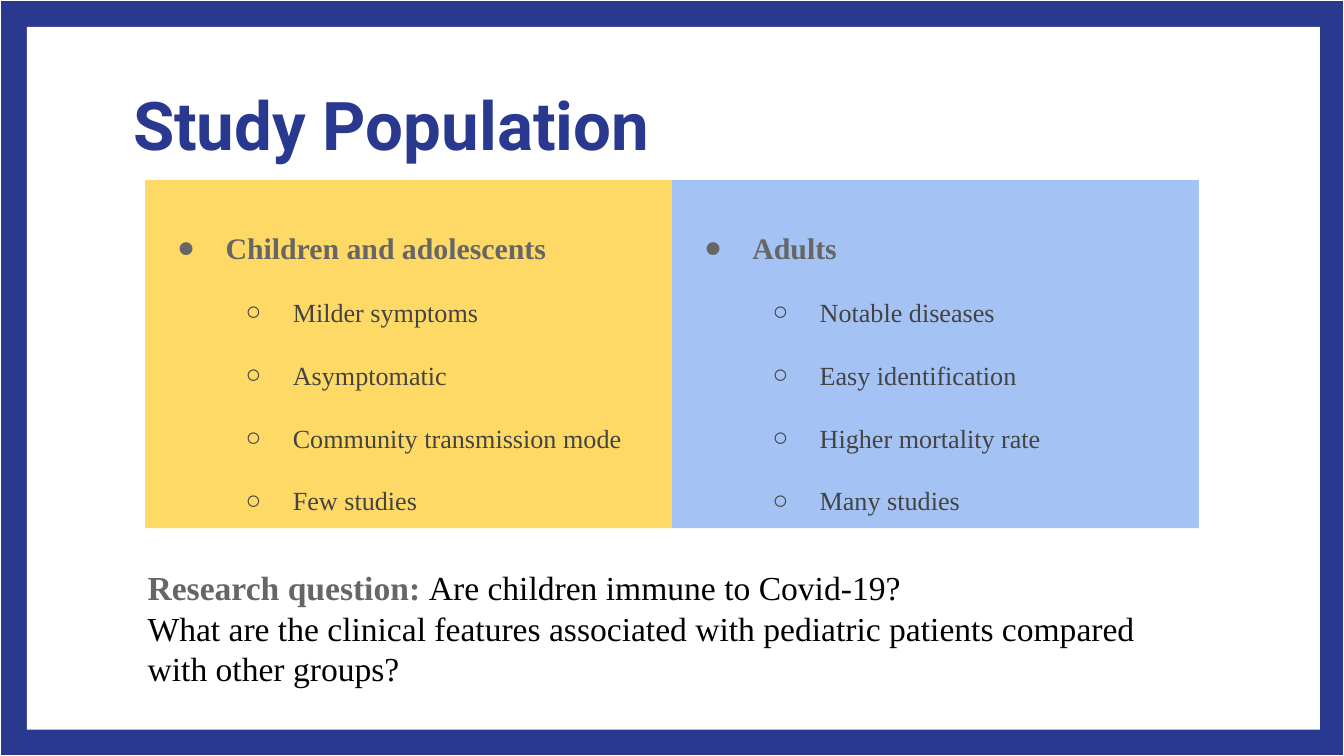
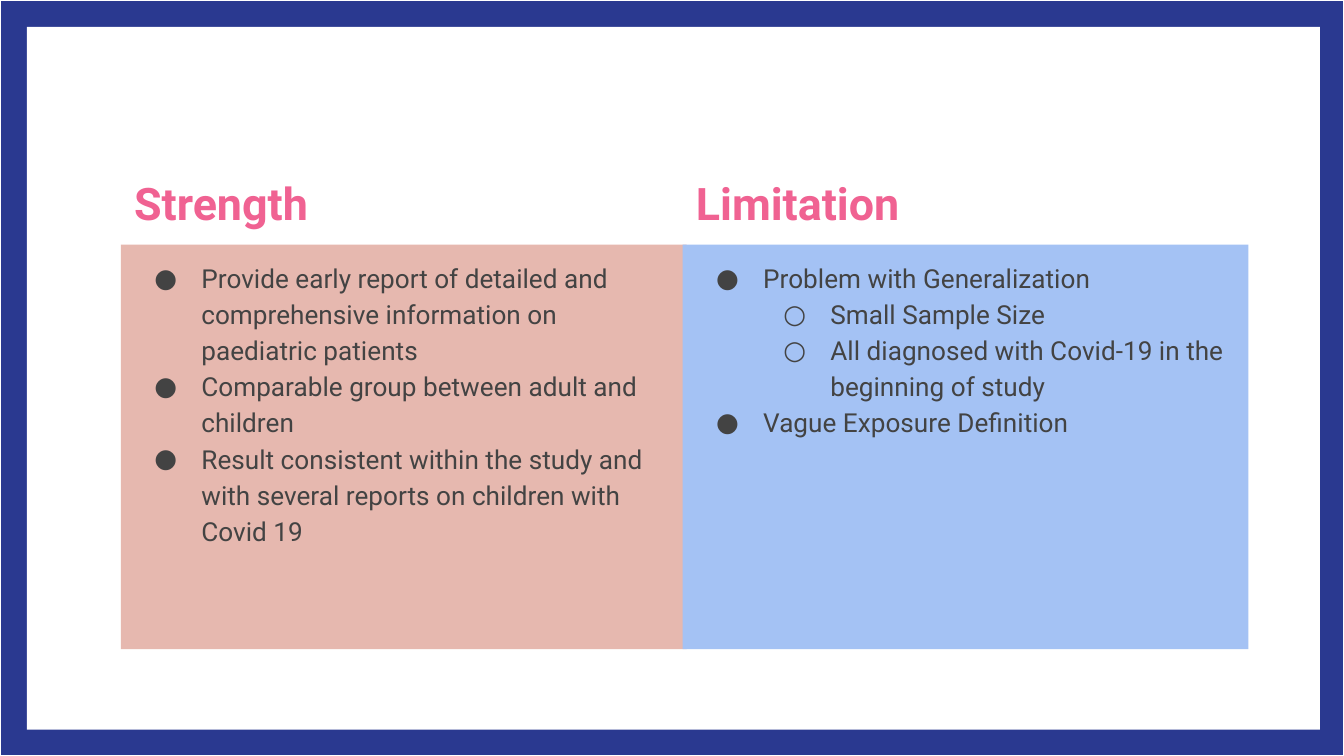
import pptx
import pptx.util
import pptx.dml.color
import pptx.enum.shapes
import pptx.enum.text
import pptx.oxml.ns
import lxml.etree

Inches = pptx.util.Inches
Pt = pptx.util.Pt
RGBColor = pptx.dml.color.RGBColor

NAVY = RGBColor(0x2A, 0x39, 0x90)
WHITE = RGBColor(0xFF, 0xFF, 0xFF)
BLACK = RGBColor(0x00, 0x00, 0x00)
GRAY = RGBColor(0x66, 0x66, 0x66)
DARK = RGBColor(0x43, 0x43, 0x43)
YELLOW = RGBColor(0xFF, 0xD9, 0x66)
BLUE = RGBColor(0xA4, 0xC2, 0xF4)
ROSE = RGBColor(0xE6, 0xB8, 0xAF)
PINK = RGBColor(0xF0, 0x62, 0x92)

SANS = "Roboto"
SERIF = "Times New Roman"
WIDTH = 10
HEIGHT = WIDTH * 9 / 16
BULLETS = ("●", "○")

TITLE = "Study Population"
POPULATIONS = [
    (YELLOW, [
        (0, "Children and adolescents"),
        (1, "Milder symptoms"),
        (1, "Asymptomatic"),
        (1, "Community transmission mode"),
        (1, "Few studies"),
    ]),
    (BLUE, [
        (0, "Adults"),
        (1, "Notable diseases"),
        (1, "Easy identification"),
        (1, "Higher mortality rate"),
        (1, "Many studies"),
    ]),
]
QUESTION_LABEL = "Research question: "
QUESTIONS = [
    "Are children immune to Covid-19?",
    "What are the clinical features associated with pediatric patients "
    "compared with other groups?",
]
ASSESSMENT = [
    ("Strength", ROSE, [
        (0, "Provide early report of detailed and comprehensive information "
            "on paediatric patients"),
        (0, "Comparable group between adult and children"),
        (0, "Result consistent within the study and with several reports "
            "on children with Covid 19"),
    ]),
    ("Limitation", BLUE, [
        (0, "Problem with Generalization"),
        (1, "Small Sample Size"),
        (1, "All diagnosed with Covid-19 in the beginning of study"),
        (0, "Vague Exposure Definition"),
    ]),
]

POPULATION_STYLE = {"font": SERIF, "spacing": 2,
                    "levels": [(16, GRAY, True, 0.36), (14, DARK, False, 0.35)]}
ASSESSMENT_STYLE = {"font": SANS, "spacing": 1.15,
                    "levels": [(14, DARK, False, 0.35)] * 2}


def format_span(span, font, size, color, bold):
    span.font.name = font
    span.font.size = Pt(size)
    span.font.color.rgb = color
    span.font.bold = bold


def prepare_frame(shape, anchor=pptx.enum.text.MSO_ANCHOR.TOP):
    frame = shape.text_frame
    frame.word_wrap = True
    frame.auto_size = pptx.enum.text.MSO_AUTO_SIZE.NONE
    frame.vertical_anchor = anchor
    frame.margin_left = frame.margin_right = Inches(0.1)
    frame.margin_top = frame.margin_bottom = Inches(0.1)
    return frame


def add_block(page, left, top, width, height, fill):
    shape = page.shapes.add_shape(
        pptx.enum.shapes.MSO_SHAPE.RECTANGLE,
        Inches(left), Inches(top), Inches(width), Inches(height))
    shape.shadow.inherit = False
    shape.fill.solid()
    shape.fill.fore_color.rgb = fill
    shape.line.fill.background()
    return shape


def add_text(page, left, top, width, height):
    box = page.shapes.add_textbox(
        Inches(left), Inches(top), Inches(width), Inches(height))
    return prepare_frame(box)


def set_bullet(para, level, color, font, hang):
    properties = para._p.get_or_add_pPr()
    properties.set("marL", str(Inches(0.5 * (level + 1))))
    properties.set("indent", str(Inches(-hang)))
    tag = pptx.oxml.ns.qn
    holder = lxml.etree.SubElement(properties, tag("a:buClr"))
    lxml.etree.SubElement(holder, tag("a:srgbClr")).set("val", str(color))
    lxml.etree.SubElement(properties, tag("a:buFont")).set("typeface", font)
    mark = lxml.etree.SubElement(properties, tag("a:buChar"))
    mark.set("char", BULLETS[level])


def add_list(page, left, top, width, height, fill, items, style):
    frame = prepare_frame(add_block(page, left, top, width, height, fill))
    frame.text = "\n".join(text for _, text in items)
    for para, (level, _) in zip(frame.paragraphs, items):
        size, color, bold, hang = style["levels"][level]
        para.level = level
        para.alignment = pptx.enum.text.PP_ALIGN.LEFT
        para.line_spacing = style["spacing"]
        set_bullet(para, level, color, style["font"], hang)
        format_span(para.runs[0], style["font"], size, color, bold)


def add_master_border(deck, page):
    border = add_block(page, 0, 0, WIDTH, HEIGHT, NAVY)
    border.line.color.rgb = WHITE
    border.line.width = Pt(0.75)
    panel = add_block(page, 0.2, 0.2, 9.62, 5.23, WHITE)
    tree = deck.slide_master.shapes.element
    for index, shape in enumerate((border, panel)):
        tree.insert(2 + index, shape.element)


def build_population(page):
    title = page.shapes.title
    title.left, title.top = Inches(0.89), Inches(0.62)
    title.width, title.height = Inches(8.59), Inches(0.7)
    frame = prepare_frame(title, pptx.enum.text.MSO_ANCHOR.BOTTOM)
    frame.text = TITLE
    para = frame.paragraphs[0]
    para.alignment = pptx.enum.text.PP_ALIGN.LEFT
    format_span(para.runs[0], SANS, 36, NAVY, True)

    column = 3.92
    for index, (fill, items) in enumerate(POPULATIONS):
        add_list(page, 1.08 + index * column, 1.34, column, 2.59,
                 fill, items, POPULATION_STYLE)

    frame = add_text(page, 1, 4.12, 7.99, 0.6)
    first = frame.paragraphs[0]
    label = first.add_run()
    label.text = QUESTION_LABEL
    format_span(label, SERIF, 18, GRAY, True)
    for para, question in zip((first, frame.add_paragraph()), QUESTIONS):
        span = para.add_run()
        span.text = question
        format_span(span, SERIF, 18, BLACK, False)


def build_assessment(page):
    column, pitch = 4.21, 4.18
    for index, (heading, fill, items) in enumerate(ASSESSMENT):
        left = 0.9 + index * pitch
        frame = add_text(page, left, 1.15, column, 0.57)
        frame.text = heading
        para = frame.paragraphs[0]
        para.line_spacing = 1.15
        para.space_after = Pt(16)
        format_span(para.runs[0], SANS, 24, PINK, True)
        add_list(page, left, 1.82, column, 3.01, fill, items, ASSESSMENT_STYLE)


def main():
    deck = pptx.Presentation()
    deck.slide_width, deck.slide_height = Inches(WIDTH), Inches(HEIGHT)
    title_only, blank = deck.slide_layouts[5], deck.slide_layouts[6]
    population = deck.slides.add_slide(title_only)
    add_master_border(deck, population)
    build_population(population)
    build_assessment(deck.slides.add_slide(blank))
    deck.save("out.pptx")


if __name__ == "__main__":
    main()
